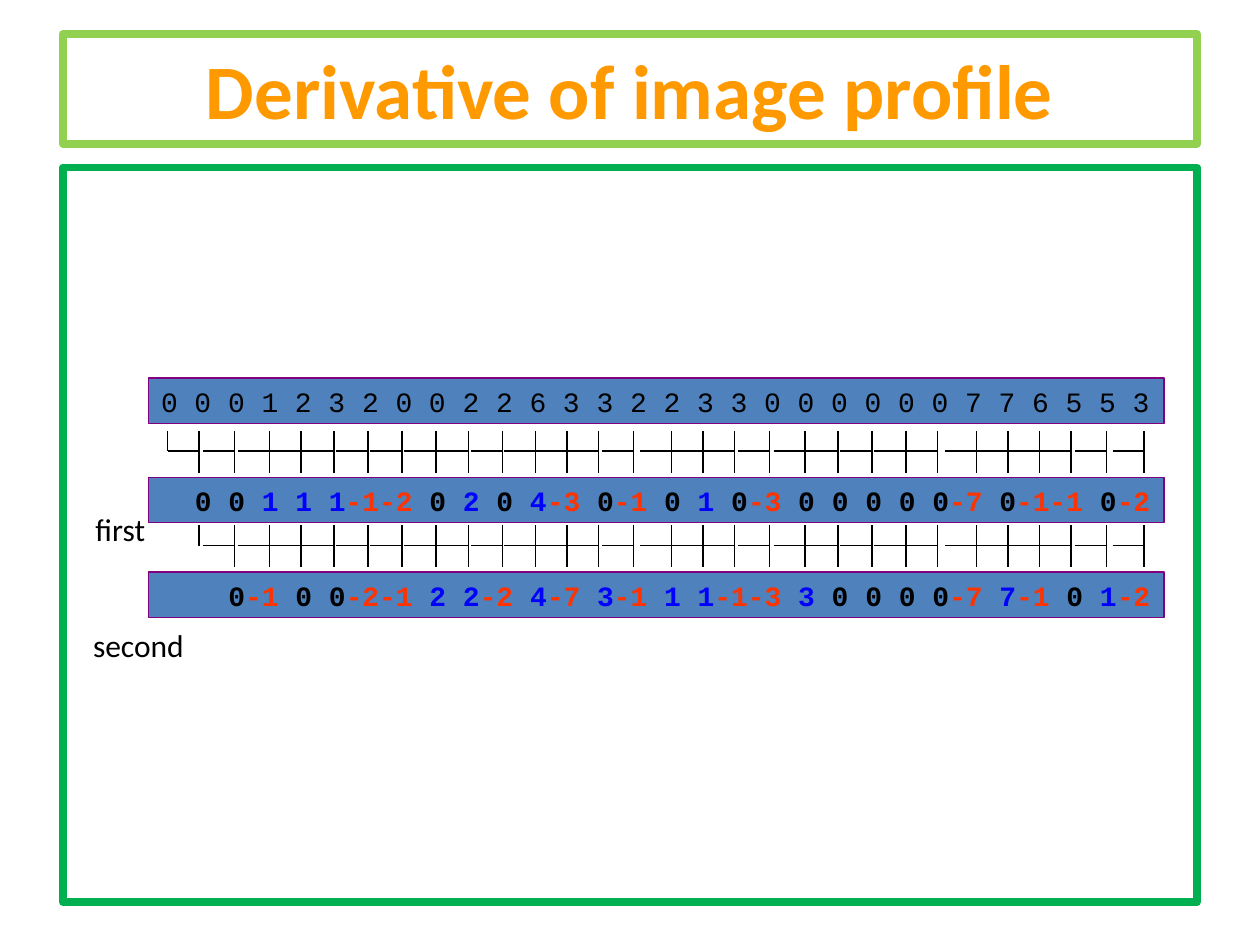
from itertools import groupby

from lxml.etree import SubElement
from pptx import Presentation
from pptx.dml.color import RGBColor
from pptx.enum.shapes import MSO_CONNECTOR as CONN, MSO_SHAPE as SHAPE
from pptx.enum.text import MSO_ANCHOR as ANCHOR, PP_ALIGN as ALIGN
from pptx.oxml.ns import qn
from pptx.util import Inches, Pt

# The grid has 1000 columns and 750 rows on a 10 x 7.5 inch slide
COLS, ROWS = 1000, 750
CELL = Inches(10) // COLS
COLORS = {
    "title": "FF9900", "title_frame": "92D050", "body_frame": "00B050",
    "strip": "4F81BD", "strip_edge": "800080", "ink": "000000",
    "rise": "0000FF", "fall": "FF3300",
}

# Pixel values and their derivatives
PROFILE = [0, 0, 0, 1, 2, 3, 2, 0, 0, 2, 2, 6, 3, 3, 2,
           2, 3, 3, 0, 0, 0, 0, 0, 0, 7, 7, 6, 5, 5, 3]
FIRST = [0, 0, 1, 1, 1, -1, -2, 0, 2, 0, 4, -3, 0, -1, 0,
         1, 0, -3, 0, 0, 0, 0, 0, -7, 0, -1, -1, 0, -2]
SECOND = [0, -1, 0, 0, -2, -1, 2, 2, -2, 4, -7, 3, -1, 1,
          1, -1, -3, 3, 0, 0, 0, 0, -7, 7, -1, 0, 1, -2]

# Column of the tick under each pixel
TICKS = [133, 158, 186, 214, 239, 265, 292, 319, 346, 372,
         399, 425, 450, 475, 503, 533, 558, 583, 611, 639,
         665, 692, 719, 744, 775, 800, 825, 850, 878, 908]
BRANCH, HALF, FULL = 25, 16, 33
DIGIT = Pt(9.6)  # width of one 16 pt Courier New character


def grid(*cells):
    return [c * CELL for c in cells]


def rgb(name):
    return RGBColor.from_string(COLORS[name])


def set_line(s, color, width):
    s.line.color.rgb = rgb(color)
    s.line.width = Pt(width)


def add_run(p, text, color, **font):
    r = p.add_run()
    r.text = text
    r.font.color.rgb = rgb(color)
    for name, value in font.items():
        setattr(r.font, name, value)


def set_frame(tf, **props):
    for name, value in props.items():
        setattr(tf, name, value)


def add_title(slide, text):
    s = slide.shapes.title
    s.left, s.top, s.width, s.height = grid(50, 27, 900, 87)
    set_line(s, "title_frame", 4.5)
    set_frame(s.text_frame, vertical_anchor=ANCHOR.MIDDLE)
    p = s.text_frame.paragraphs[0]
    p.alignment = ALIGN.CENTER
    add_run(p, text, "title", name="Calibri", size=Pt(44), bold=True)


def add_rect(slide, cells, line, width, fill=None):
    s = slide.shapes.add_shape(SHAPE.RECTANGLE, *grid(*cells))
    s.shadow.inherit = False
    if fill:
        s.fill.solid()
        s.fill.fore_color.rgb = rgb(fill)
    else:
        s.fill.background()
    set_line(s, line, width)
    return s


def sign_color(value):
    return "rise" if value > 0 else "fall" if value < 0 else "ink"


def add_strip(slide, row, values, shift=0):
    """A strip of values, two characters each, starting at pixel `shift`."""
    s = add_rect(slide, (118, row, 806, 36), "strip_edge", 0.75, "strip")
    set_frame(s.text_frame, word_wrap=False, vertical_anchor=ANCHOR.TOP,
              margin_left=Inches(0.1) + 2 * shift * DIGIT)
    p = s.text_frame.paragraphs[0]
    p.alignment = ALIGN.LEFT
    color_of = sign_color if shift else lambda value: "ink"
    for i, (color, group) in enumerate(groupby(values, color_of)):
        text = "".join(f"{value:2d}" for value in group)
        add_run(p, text if i else text.lstrip(), color,
                name="Courier New", size=Pt(16), bold=shift > 0)


def add_line(slide, x1, y1, x2, y2):
    s = slide.shapes.add_connector(CONN.STRAIGHT, *grid(x1, y1, x2, y2))
    set_line(s, "ink", 0.75)
    SubElement(s._element.spPr, qn("a:effectLst"))


def add_links(slide, row, ticks):
    """Join each pixel to the one on its left."""
    first, *others = ticks
    add_line(slide, first, row, first, row + HALF)
    for x in others:
        add_line(slide, x, row, x, row + FULL)
        add_line(slide, x - BRANCH, row + HALF, x, row + HALF)


def add_label(slide, cells, text):
    tf = slide.shapes.add_textbox(*grid(*cells)).text_frame
    set_frame(tf, word_wrap=False)
    p = tf.paragraphs[0]
    p.alignment = ALIGN.LEFT
    add_run(p, text, "ink", name="Calibri", size=Pt(18))


def main():
    prs = Presentation()
    prs.slide_width, prs.slide_height = grid(COLS, ROWS)
    slide = prs.slides.add_slide(prs.slide_layouts[5])

    # Title and body frame
    add_title(slide, "Derivative of image profile")
    add_rect(slide, (50, 133, 900, 583), "body_frame", 4.5)

    # Value strips
    for shift, (row, values) in enumerate(
            [(300, PROFILE), (379, FIRST), (454, SECOND)]):
        add_strip(slide, row, values, shift)

    # Links between the strips
    for shift, row in enumerate([342, 417]):
        add_links(slide, row, TICKS[shift:])

    # Labels, wide enough to hold each word on one line
    add_label(slide, (66, 400, 66, 40), "first")
    add_label(slide, (64, 492, 96, 40), "second")

    prs.save("out.pptx")


if __name__ == "__main__":
    main()
